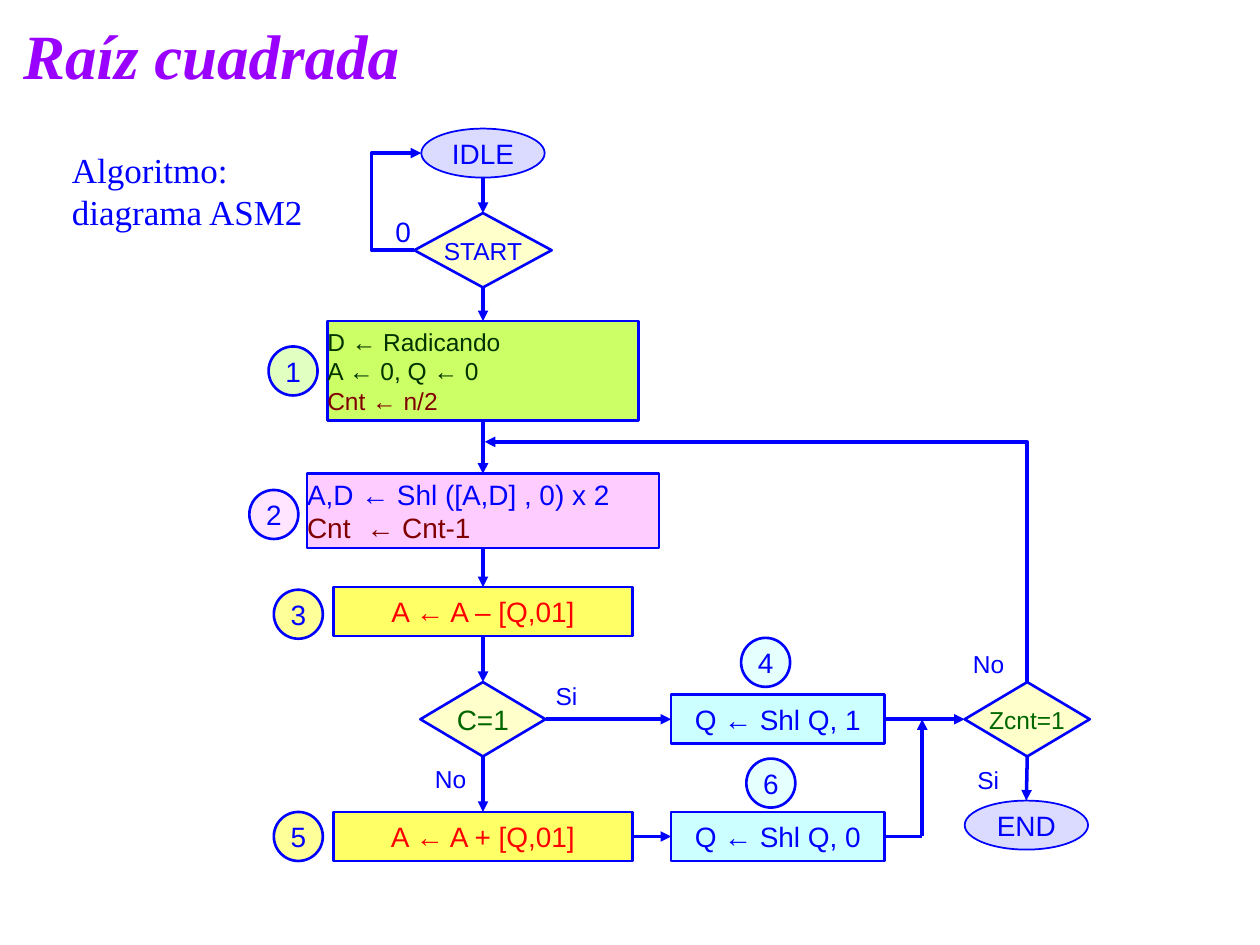
import pptx
import pptx.dml.color
import pptx.enum.shapes
import pptx.enum.text
import pptx.oxml.ns
import pptx.util

Pt = pptx.util.Pt
RGB = pptx.dml.color.RGBColor
SHAPE = pptx.enum.shapes.MSO_SHAPE
WIRE = pptx.enum.shapes.MSO_CONNECTOR
ALIGN = pptx.enum.text.PP_ALIGN
ANCHOR = pptx.enum.text.MSO_ANCHOR
FIT = pptx.enum.text.MSO_AUTO_SIZE

BLUE = RGB(0x00, 0x00, 0xFF)
RED = RGB(0xFF, 0x00, 0x00)
PURPLE = RGB(0x99, 0x00, 0xFF)
MAROON = RGB(0x80, 0x00, 0x00)
FOREST = RGB(0x00, 0x33, 0x00)
GREEN = RGB(0x00, 0x66, 0x00)
LIME = RGB(0xCC, 0xFF, 0x66)
MINT = RGB(0xCC, 0xFF, 0x99)
PINK = RGB(0xFF, 0xCC, 0xFF)
YELLOW = RGB(0xFF, 0xFF, 0x66)
STRAW = RGB(0xFF, 0xFF, 0x99)
CREAM = RGB(0xFF, 0xFF, 0xCC)
CYAN = RGB(0xCC, 0xFF, 0xFF)
LILAC = RGB(0xCC, 0xCC, 0xFF)


def add(parent, tag, **attrs):
    """Append a drawing element with attributes and return it."""
    child = parent.makeelement(pptx.oxml.ns.qn("a:" + tag), attrs)
    parent.append(child)
    return child


def write(frame, *lines, size=16, color=BLUE, font="Arial", align=ALIGN.CENTER,
          anchor=ANCHOR.MIDDLE, wrap=False, inset=(0, 0), slant=False, tab=None):
    """Fill a text frame; a line is a string or a (string, colour) pair."""
    frame.auto_size = FIT.NONE
    frame.word_wrap = wrap
    frame.vertical_anchor = anchor
    frame.margin_left = frame.margin_right = Pt(inset[0])
    frame.margin_top = frame.margin_bottom = Pt(inset[1])
    for n, line in enumerate(lines):
        words, tone = (line, color) if isinstance(line, str) else line
        para = frame.add_paragraph() if n else frame.paragraphs[0]
        para.alignment = align
        if tab:
            stops = add(para._p.get_or_add_pPr(), "tabLst")
            add(stops, "tab", pos=str(Pt(tab)), algn="l")
        run = para.add_run()
        run.text = words
        run.font.name, run.font.size = font, Pt(size)
        run.font.bold = run.font.italic = slant
        run.font.color.rgb = tone


def node(slide, box, kind, mid, span, fill, *lines, alpha=None, edge=1.5, **form):
    """Draw a flow shape centred on a point of the box."""
    (x, y), (w, h) = mid, span
    shape = slide.shapes.add_shape(kind, Pt(box[0] + x - w / 2), Pt(box[1] + y - h / 2),
                                   Pt(w), Pt(h))
    shape.shadow.inherit = False
    shape.fill.solid()
    shape.fill.fore_color.rgb = fill
    if alpha:
        tint = shape.fill._xPr.find(".//" + pptx.oxml.ns.qn("a:srgbClr"))
        add(tint, "alpha", val=str(alpha * 1000))
    shape.line.color.rgb = BLUE
    shape.line.width = Pt(edge)
    write(shape.text_frame, *lines, **form)
    return shape


def badge(slide, box, mid, fill, mark, alpha=None):
    """Draw a numbered step circle."""
    node(slide, box, SHAPE.OVAL, mid, (28, 28), fill, mark, alpha=alpha)


def label(slide, box, spot, words, width, size=14):
    """Place a small branch label in the box."""
    text = slide.shapes.add_textbox(Pt(box[0] + spot[0]), Pt(box[1] + spot[1]),
                                    Pt(width), Pt(size * 1.2))
    write(text.text_frame, words, size=size, align=ALIGN.LEFT, anchor=ANCHOR.TOP)


def site(shape, side):
    """Return the middle of a side: 0 top, 1 left, 2 bottom, 3 right."""
    x, y, w, h = shape.left, shape.top, shape.width, shape.height
    return [(x + w // 2, y), (x, y + h // 2), (x + w // 2, y + h), (x + w, y + h // 2)][side]


def wire(slide, start, stop, kind=WIRE.STRAIGHT, tip="tailEnd"):
    """Draw a blue connector between two points."""
    link = slide.shapes.add_connector(kind, *start, *stop)
    link.line.color.rgb = BLUE
    link.line.width = Pt(2)
    if tip:
        add(link.line._get_or_add_ln(), tip, type="triangle")
    add(link._element.spPr, "effectLst")
    return link


def join(slide, first, out, last, into):
    """Link two shapes side to side, gluing every end that is not an ellipse."""
    link = wire(slide, site(first, out), site(last, into))
    if first.auto_shape_type != SHAPE.OVAL:
        link.begin_connect(first, out)
    if last.auto_shape_type != SHAPE.OVAL:
        link.end_connect(last, into)


def head(slide, box):
    """Place the title and the note under it."""
    x, y, w, h = box
    title = slide.shapes.title
    title.left, title.top, title.width, title.height = Pt(x), Pt(y), Pt(w), Pt(h)
    form = dict(font="Times New Roman", align=ALIGN.LEFT, anchor=ANCHOR.TOP,
                wrap=True, inset=(7.2, 3.6))
    write(title.text_frame, "Raíz cuadrada", size=36, color=PURPLE, slant=True, **form)
    note = slide.shapes.add_textbox(Pt(x + 28), Pt(y + 75.5), Pt(157), Pt(55.5))
    write(note.text_frame, "Algoritmo: diagrama ASM2", size=20, **form)


def spine(slide, box):
    """Draw the main column of steps and return its test and last step."""
    mid = box[2] / 2
    idle = node(slide, box, SHAPE.OVAL, (mid, 14.5), (70.5, 28), LILAC, "IDLE",
                alpha=70, edge=1)
    start = node(slide, box, SHAPE.DIAMOND, (mid, 70), (78.5, 42.5), CREAM, "START", size=14)
    load = node(slide, box, SHAPE.RECTANGLE, (mid, 139), (178, 57), LIME,
                "D ← Radicando", "A ← 0, Q ← 0", ("Cnt ← n/2", MAROON),
                size=14, color=FOREST, align=ALIGN.LEFT)
    shift = node(slide, box, SHAPE.RECTANGLE, (mid, 219), (201, 42.5), PINK,
                 "A,D ← Shl ([A,D] , 0) x 2", ("Cnt\t← Cnt-1", MAROON),
                 align=ALIGN.LEFT, tab=34)
    less = node(slide, box, SHAPE.RECTANGLE, (mid, 276.5), (171, 28), YELLOW,
                "A ← A – [Q,01]", color=RED)
    test = node(slide, box, SHAPE.DIAMOND, (mid, 338), (71.5, 42.5), CREAM, "C=1", color=GREEN)
    more = node(slide, box, SHAPE.RECTANGLE, (mid, 405), (171, 28), YELLOW,
                "A ← A + [Q,01]", color=RED)
    steps = [idle, start, load, shift, less, test, more]
    for above, below in zip(steps, steps[1:]):
        join(slide, above, 2, below, 0)

    loop = wire(slide, site(start, 1), site(idle, 1), WIRE.ELBOW)
    bend = -Pt(24.5) / (idle.left - start.left)
    route = loop._element.spPr.find(pptx.oxml.ns.qn("a:prstGeom"))
    add(route.get_or_add_avLst(), "gd", name="adj1", fmla=f"val {round(bend * 100000)}")

    for x, y, fill, mark, alpha in [(25.5, 139, MINT, "1", 60), (14.5, 221, PINK, "2", 50),
                                    (28.5, 278, STRAW, "3", None), (28.5, 405, STRAW, "5", None)]:
        badge(slide, box, (x, y), fill, mark, alpha)
    label(slide, box, (84, 49.5), "0", 9, size=16)
    label(slide, box, (106.5, 363.5), "No", 18)
    label(slide, box, (175.5, 316), "Si", 12.5)
    return test, more


def branch(slide, box, test, more):
    """Draw the right-hand steps, the exit test and the way back."""
    one, zero = [node(slide, box, SHAPE.RECTANGLE, (61.5, y), (122, 28), CYAN, words)
                 for y, words in [(47, "Q ← Shl Q, 1"), (114, "Q ← Shl Q, 0")]]
    done = node(slide, box, SHAPE.DIAMOND, (204, 47), (71.5, 42.5), CREAM, "Zcnt=1",
                size=14, color=GREEN)
    end = node(slide, box, SHAPE.OVAL, (203.5, 107.5), (70.5, 28), LILAC, "END",
               alpha=70, edge=1)
    join(slide, test, 3, one, 1)
    join(slide, more, 3, zero, 1)
    join(slide, one, 3, done, 1)
    join(slide, done, 2, end, 0)

    merge = Pt(box[0] + 144)
    low, high = site(zero, 3), site(one, 3)
    stub = wire(slide, low, (merge, low[1]), tip=None)
    stub.begin_connect(zero, 3)
    wire(slide, (merge, low[1]), (merge, high[1]))

    back = wire(slide, (site(test, 0)[0] + Pt(1), Pt(box[1] - 111.5)), site(done, 0),
                WIRE.ELBOW, tip="headEnd")
    back._element.spPr.find(pptx.oxml.ns.qn("a:prstGeom")).set("prst", "bentConnector2")

    badge(slide, box, (54.5, 14.5), CYAN, "4", 50)
    badge(slide, box, (57.5, 83.5), CYAN, "6", 50)
    label(slide, box, (173, 7), "No", 18)
    label(slide, box, (175.5, 73), "Si", 12.5)


def main():
    """Build the slide and save it."""
    deck = pptx.Presentation()
    deck.slide_width, deck.slide_height = Pt(720), Pt(540)
    slide = deck.slides.add_slide(deck.slide_layouts[5])
    head(slide, (6, 6, 652, 50))
    test, more = spine(slide, (142, 73, 268, 419))
    branch(slide, (383, 364, 240, 128), test, more)
    deck.save("out.pptx")


if __name__ == "__main__":
    main()
